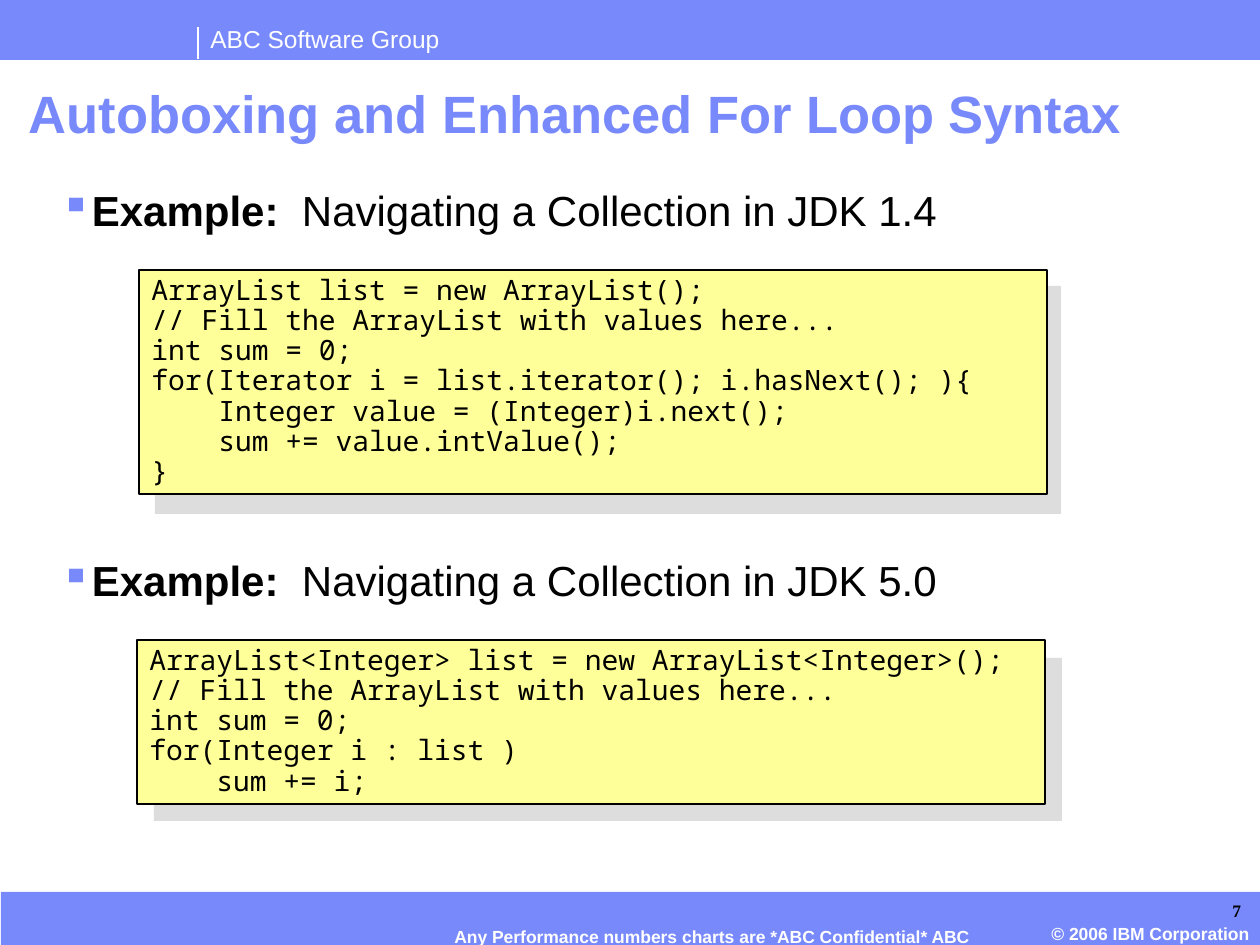
from lxml.etree import SubElement
from pptx import Presentation
from pptx.dml.color import RGBColor
from pptx.enum.shapes import MSO_CONNECTOR, MSO_SHAPE
from pptx.enum.text import MSO_ANCHOR, PP_ALIGN
from pptx.oxml.ns import qn
from pptx.util import Pt

COLORS = {"blue": "7889FB", "white": "FFFFFF", "black": "000000",
          "yellow": "FFFF99", "shadow": "DDDDDD"}
PX = 914400 / 126


def add_box(left, top, width, height, fill, line=None, line_width=1):
    shape = slide.shapes.add_shape(
        MSO_SHAPE.RECTANGLE, *(round(v * PX) for v in (left, top, width, height)))
    shape.shadow.inherit = False
    shape.fill.solid()
    shape.fill.fore_color.rgb = RGBColor.from_string(COLORS[fill])
    if line:
        shape.line.color.rgb = RGBColor.from_string(COLORS[line])
        shape.line.width = Pt(line_width)
    else:
        shape.line.fill.background()
    return shape


def write_lines(shape, lines, size, color, font="Arial", bold=False, spacing=None):
    """Fill a shape with one left-aligned, top-anchored paragraph per line."""
    frame = shape.text_frame
    frame.word_wrap = True
    frame.vertical_anchor = MSO_ANCHOR.TOP
    frame.text = "\n".join(lines)
    for paragraph in frame.paragraphs:
        paragraph.alignment = PP_ALIGN.LEFT
        paragraph.line_spacing = spacing
        paragraph.font.name = font
        paragraph.font.size = Pt(size)
        paragraph.font.bold = bold
        paragraph.font.color.rgb = RGBColor.from_string(COLORS[color])
    return frame


presentation = Presentation()
presentation.slide_width = round(1260 * PX)
presentation.slide_height = round(945 * PX)
slide = presentation.slides.add_slide(presentation.slide_layouts[5])

# Header and footer bands
add_box(0, 0, 1260, 60, "blue")
add_box(1, 892, 1260, 53, "blue", "blue", 0.25)
divider = slide.shapes.add_connector(
    MSO_CONNECTOR.STRAIGHT, *(round(v * PX) for v in (198, 27, 198, 59)))
divider.line.color.rgb = RGBColor.from_string(COLORS["white"])
divider.line.width = Pt(0.75)
SubElement(divider._element.spPr, qn("a:effectLst"))

band_texts = [
    ((198, 18, 280, 43), "ABC Software Group", 14, False),
    ((442, 920, 570, 34), "Any Performance numbers charts are *ABC Confidential* ABC", 10, True),
    ((1039, 917, 224, 34), "© 2006 IBM Corporation", 10, True),
]
for place, text, size, bold in band_texts:
    label = slide.shapes.add_textbox(*(round(v * PX) for v in place))
    write_lines(label, [text], size, "white", bold=bold)

# Title
title = slide.shapes.title
title.left, title.top, title.width, title.height = (
    round(v * PX) for v in (16, 82, 1229, 69))
write_lines(title, ["Autoboxing and Enhanced For Loop Syntax"], 30, "blue",
            bold=True, spacing=0.9)

# Bulleted example headings
body = slide.shapes.add_textbox(*(round(v * PX) for v in (48, 178, 1174, 689)))
body.text_frame.word_wrap = True
for index, version in enumerate(["1.4", "5.0"]):
    if index == 0:
        paragraph = body.text_frame.paragraphs[0]
    else:
        paragraph = body.text_frame.add_paragraph()
        paragraph.space_before = Pt(183)
    properties = paragraph._p.get_or_add_pPr()
    properties.set("marL", "228600")
    properties.set("indent", "-228600")
    bullet_color = SubElement(properties, qn("a:buClr"))
    SubElement(bullet_color, qn("a:srgbClr")).set("val", COLORS["blue"])
    SubElement(properties, qn("a:buChar")).set("char", "▪")
    paragraph.font.name = "Arial"
    paragraph.font.size = Pt(24)
    paragraph.font.color.rgb = RGBColor.from_string(COLORS["black"])
    heading = paragraph.add_run()
    heading.text = "Example:"
    heading.font.bold = True
    paragraph.add_run().text = f"  Navigating a Collection in JDK {version}"

# Code panels, each over its offset shadow
code_panels = [
    ((155, 286, 906, 228), (139, 270, 908, 224), [
        "ArrayList list = new ArrayList();",
        "// Fill the ArrayList with values here...",
        "int sum = 0;",
        "for(Iterator i = list.iterator(); i.hasNext(); ){",
        "    Integer value = (Integer)i.next();",
        "    sum += value.intValue();",
        "}",
    ]),
    ((154, 658, 908, 163), (137, 640, 908, 164), [
        "ArrayList<Integer> list = new ArrayList<Integer>();",
        "// Fill the ArrayList with values here...",
        "int sum = 0;",
        "for(Integer i : list )",
        "    sum += i;",
    ]),
]
for shadow_place, panel_place, code in code_panels:
    add_box(*shadow_place, "shadow")
    panel = add_box(*panel_place, "yellow", "black")
    write_lines(panel, code, 16, "black", font="Noto Sans Mono", spacing=0.9)

# Page number
page_number = slide.shapes.add_textbox(*(round(v * PX) for v in (1148, 900, 93, 21)))
frame = write_lines(page_number, ["7"], 10, "black", font="Times New Roman", bold=True)
frame.margin_left = frame.margin_right = frame.margin_top = frame.margin_bottom = 0
frame.paragraphs[0].alignment = PP_ALIGN.RIGHT

presentation.save("out.pptx")
